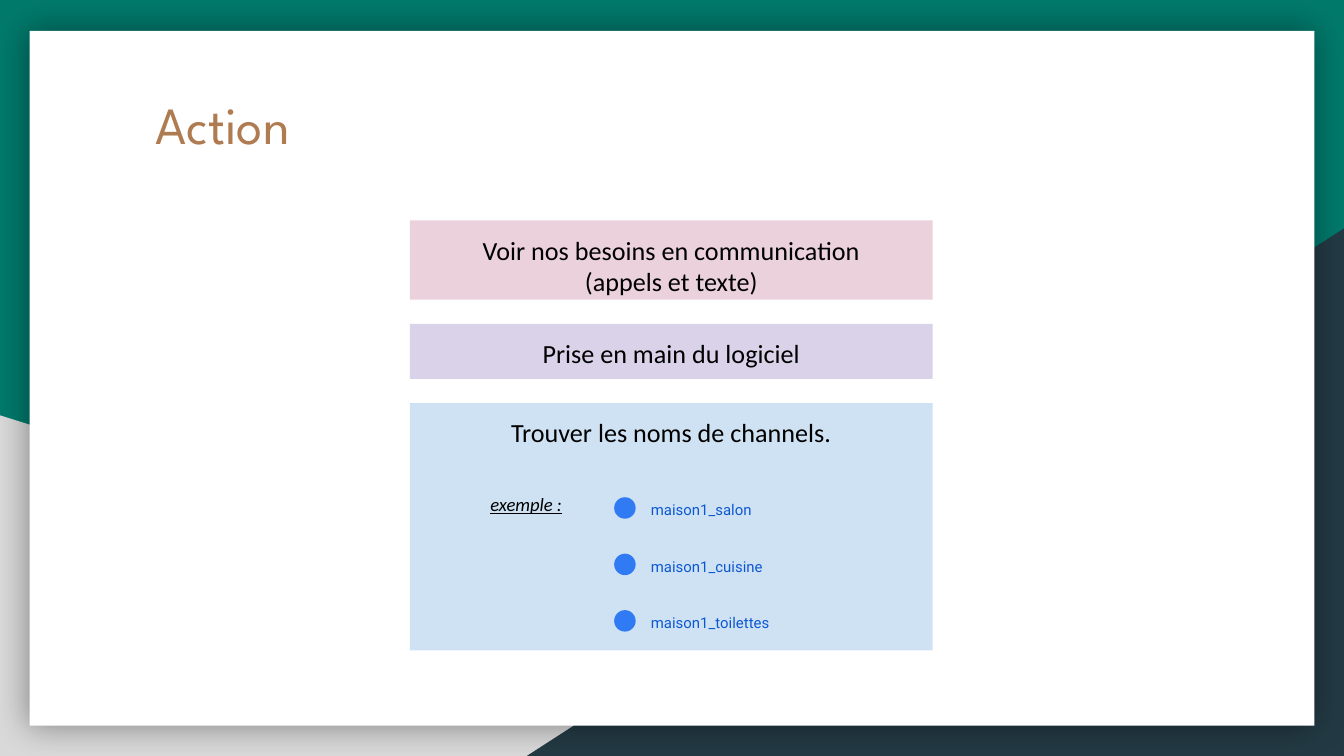
import pptx
import pptx.util
import pptx.dml.color
import pptx.enum.shapes
import pptx.enum.text
import pptx.oxml

Inches, Pt = pptx.util.Inches, pptx.util.Pt
KIND = pptx.enum.shapes.MSO_SHAPE
ALIGN = pptx.enum.text.PP_ALIGN
ANCHOR = pptx.enum.text.MSO_ANCHOR

WIDE, HIGH = 10, 5.625
TITLE = "Action"
LEFT, SPAN = 3.05, 3.89
# top, height, fill, lines
STEPS = [
    (1.64, 0.59, "EAD1DC", ["Voir nos besoins en communication", "(appels et texte)"]),
    (2.41, 0.41, "D9D2E9", ["Prise en main du logiciel"]),
    (3.0, 1.84, "CFE2F3", ["Trouver les noms de channels."]),
]
SAMPLE = "exemple :"
NAMES = ["maison1_salon", "maison1_cuisine", "maison1_toilettes"]
ROW, PITCH, DOT = 3.65, 0.42, 0.16

SHADOW = """<a:effectLst xmlns:a="http://schemas.openxmlformats.org/drawingml/2006/main">
<a:outerShdw blurRad="228600" dist="0" algn="ctr" rotWithShape="0">
<a:srgbClr val="000000"><a:alpha val="40000"/></a:srgbClr></a:outerShdw></a:effectLst>"""


def color(code):
    return pptx.dml.color.RGBColor.from_string(code)


def draw(home, kind, box, fill=None):
    shape = home.add_shape(kind, *map(Inches, box))
    shape.shadow.inherit = False
    shape.line.fill.background()
    if fill:
        shape.fill.solid()
        shape.fill.fore_color.rgb = color(fill)
    else:
        shape.fill.background()
    return shape


def write(shape, lines, face, size, ink, align=ALIGN.LEFT, anchor=ANCHOR.TOP):
    frame = shape.text_frame
    frame.word_wrap = True
    frame.vertical_anchor = anchor
    frame.margin_left = frame.margin_right = Inches(0.1)
    frame.margin_top = frame.margin_bottom = Inches(0.1)
    frame.text = "\n".join(lines)
    for para in frame.paragraphs:
        para.alignment = align
        para.font.name, para.font.size = face, Pt(size)
        para.font.color.rgb = color(ink)
    return frame


deck = pptx.Presentation()
deck.slide_width, deck.slide_height = Inches(WIDE), Inches(HIGH)
slide = deck.slides.add_slide(deck.slide_layouts[6])
slide.background.fill.solid()
slide.background.fill.fore_color.rgb = color("00796B")
shapes = slide.shapes

# Backdrop
draw(shapes, KIND.RIGHT_TRIANGLE, (0, 3.09, 8.06, HIGH - 3.09), "D9D9D9")
dark = draw(shapes, KIND.RIGHT_TRIANGLE, (3.92, 1.7, WIDE - 3.92, HIGH - 1.7), "233A44")
dark._element.spPr.xfrm.set("flipH", "1")
card = draw(shapes, KIND.RECTANGLE, (0.22, 0.23, 9.56, 5.17), "FFFFFF")
props = card._element.spPr
props.replace(props.find(pptx.oxml.ns.qn("a:effectLst")), pptx.oxml.parse_xml(SHADOW))

title = shapes.add_textbox(*map(Inches, (1.06, 0.59, 1.35, 1.04)))
write(title, [TITLE], "League Spartan", 28, "AF7B51")

for top, tall, fill, lines in STEPS:
    step = draw(shapes, KIND.RECTANGLE, (LEFT, top, SPAN, tall), fill)
    frame = write(step, lines, "Calibri", 14, "000000", ALIGN.CENTER)

# Example line inside the last step
para = frame.add_paragraph()
para.text = SAMPLE
para.alignment = ALIGN.LEFT
para.space_before = Pt(24)
para._p.get_or_add_pPr().set("marL", str(Inches(0.5)))
font = para.font
font.name, font.size = "Calibri", Pt(10)
font.italic = font.underline = True
font.color.rgb = color("000000")

for i, name in enumerate(NAMES):
    top = ROW + i * PITCH
    group = shapes.add_group_shape().shapes
    label = draw(group, KIND.ROUNDED_RECTANGLE, (4.73, top, 1.25, 0.29))
    write(label, [name], "Roboto", 8, "0C58D3", anchor=ANCHOR.MIDDLE)
    draw(group, KIND.OVAL, (4.73 - DOT, top + 0.05, DOT, DOT), "307BF3")

deck.save("out.pptx")
